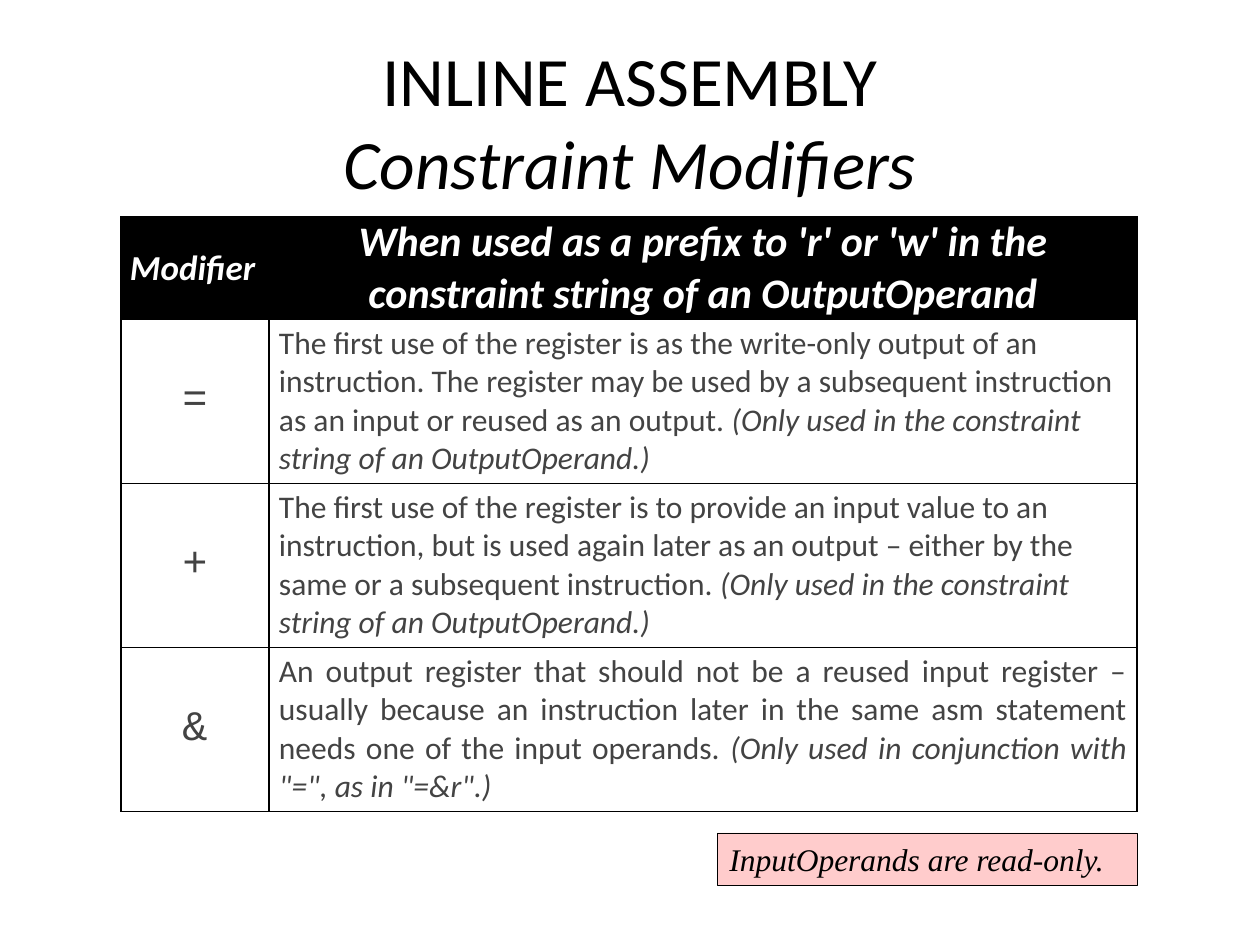
from lxml import etree
from pptx import Presentation
from pptx.dml.color import RGBColor
from pptx.enum.shapes import MSO_SHAPE
from pptx.enum.text import MSO_ANCHOR, MSO_AUTO_SIZE, PP_ALIGN
from pptx.oxml.ns import qn
from pptx.util import Emu, Pt

PX = 914400 // 126
COLORS = {"black": "000000", "white": "FFFFFF", "body": "434343", "pink": "FFCCCC"}
TITLE = ("INLINE ASSEMBLY", "Constraint Modifiers")
HEADERS = [
    ("Modifier", 20, PP_ALIGN.JUSTIFY, MSO_ANCHOR.MIDDLE),
    ("When used as a prefix to 'r' or 'w' in the constraint string of an OutputOperand",
     24, PP_ALIGN.CENTER, MSO_ANCHOR.BOTTOM),
]
OUTPUT_ONLY = "(Only used in the constraint string of an OutputOperand.)"
MODIFIERS = [
    ("=", "The first use of the register is as the write-only output of an instruction. "
          "The register may be used by a subsequent instruction as an input or reused as an output. ",
     OUTPUT_ONLY, PP_ALIGN.LEFT),
    ("+", "The first use of the register is to provide an input value to an instruction, "
          "but is used again later as an output – either by the same or a subsequent instruction. ",
     OUTPUT_ONLY, PP_ALIGN.LEFT),
    ("&", "An output register that should not be a reused input register – usually because "
          "an instruction later in the same asm statement needs one of the input operands. ",
     '(Only used in conjunction with "=", as in "=&r".)', PP_ALIGN.JUSTIFY),
]
NOTE = "InputOperands are read-only."
COLUMN_WIDTHS = (148, 868)
HEADER_HEIGHT, ROW_HEIGHT = 102, 164
TABLE_LEFT, TABLE_TOP = 121, 217


def px(*values):
    return [Emu(value * PX) for value in values]


def rgb(name):
    return RGBColor.from_string(COLORS[name])


def add_run(paragraph, text, size, color, font="Calibri", bold=False, italic=False):
    run = paragraph.add_run()
    run.text = text
    run.font.size, run.font.name = Pt(size), font
    run.font.bold, run.font.italic = bold, italic
    run.font.color.rgb = rgb(color)


def format_cell(cell, fill, anchor, align, inset_x, inset_y):
    cell.fill.solid()
    cell.fill.fore_color.rgb = rgb(fill)
    cell.vertical_anchor = anchor
    cell.margin_left = cell.margin_right = Emu(inset_x * PX)
    cell.margin_top = cell.margin_bottom = Emu(inset_y * PX)
    properties = cell._tc.get_or_add_tcPr()
    for index, side in enumerate(("lnL", "lnR", "lnT", "lnB")):
        border = etree.Element(qn(f"a:{side}"), w=str(Pt(1)))
        fill_xml = etree.SubElement(border, qn("a:solidFill"))
        etree.SubElement(fill_xml, qn("a:srgbClr"), val=COLORS["black"])
        properties.insert(index, border)
    paragraph = cell.text_frame.paragraphs[0]
    paragraph.alignment = align
    return paragraph


prs = Presentation()
prs.slide_width, prs.slide_height = px(1260, 945)
slide = prs.slides.add_slide(prs.slide_layouts[5])

title = slide.shapes.title
title.left, title.top, title.width, title.height = px(63, 42, 1134, 157)
frame = title.text_frame
frame.auto_size = MSO_AUTO_SIZE.NONE
frame.vertical_anchor = MSO_ANCHOR.MIDDLE
heading = frame.paragraphs[0]
heading.alignment = PP_ALIGN.CENTER
add_run(heading, TITLE[0], 39.6, "black")
heading.add_line_break()
add_run(heading, TITLE[1], 39.6, "black", italic=True)

table_height = HEADER_HEIGHT + ROW_HEIGHT * len(MODIFIERS)
table = slide.shapes.add_table(
    len(MODIFIERS) + 1, len(COLUMN_WIDTHS),
    *px(TABLE_LEFT, TABLE_TOP, sum(COLUMN_WIDTHS), table_height)).table
for column, width in zip(table.columns, px(*COLUMN_WIDTHS)):
    column.width = width
for index, row in enumerate(table.rows):
    row.height = Emu((ROW_HEIGHT if index else HEADER_HEIGHT) * PX)

for column, (text, size, align, anchor) in enumerate(HEADERS):
    paragraph = format_cell(table.cell(0, column), "black", anchor, align, 9, 0)
    add_run(paragraph, text, size, "white", bold=True, italic=True)

for row, (symbol, meaning, usage, align) in enumerate(MODIFIERS, 1):
    paragraph = format_cell(table.cell(row, 0), "white", MSO_ANCHOR.MIDDLE, PP_ALIGN.CENTER, 10, 5)
    add_run(paragraph, symbol, 24, "body", "Courier New")
    paragraph = format_cell(table.cell(row, 1), "white", MSO_ANCHOR.TOP, align, 10, 5)
    add_run(paragraph, meaning, 18, "body")
    add_run(paragraph, usage, 18, "body", italic=True)

note = slide.shapes.add_shape(MSO_SHAPE.RECTANGLE, *px(717, 833, 420, 52))
note.shadow.inherit = False
note.fill.solid()
note.fill.fore_color.rgb = rgb("pink")
note.line.color.rgb = rgb("black")
note.line.width = Pt(0.25)
note.text_frame.word_wrap = True
note.text_frame.vertical_anchor = MSO_ANCHOR.MIDDLE
paragraph = note.text_frame.paragraphs[0]
paragraph.alignment = PP_ALIGN.LEFT
add_run(paragraph, NOTE, 18, "black", "Times New Roman", italic=True)

prs.save("out.pptx")
